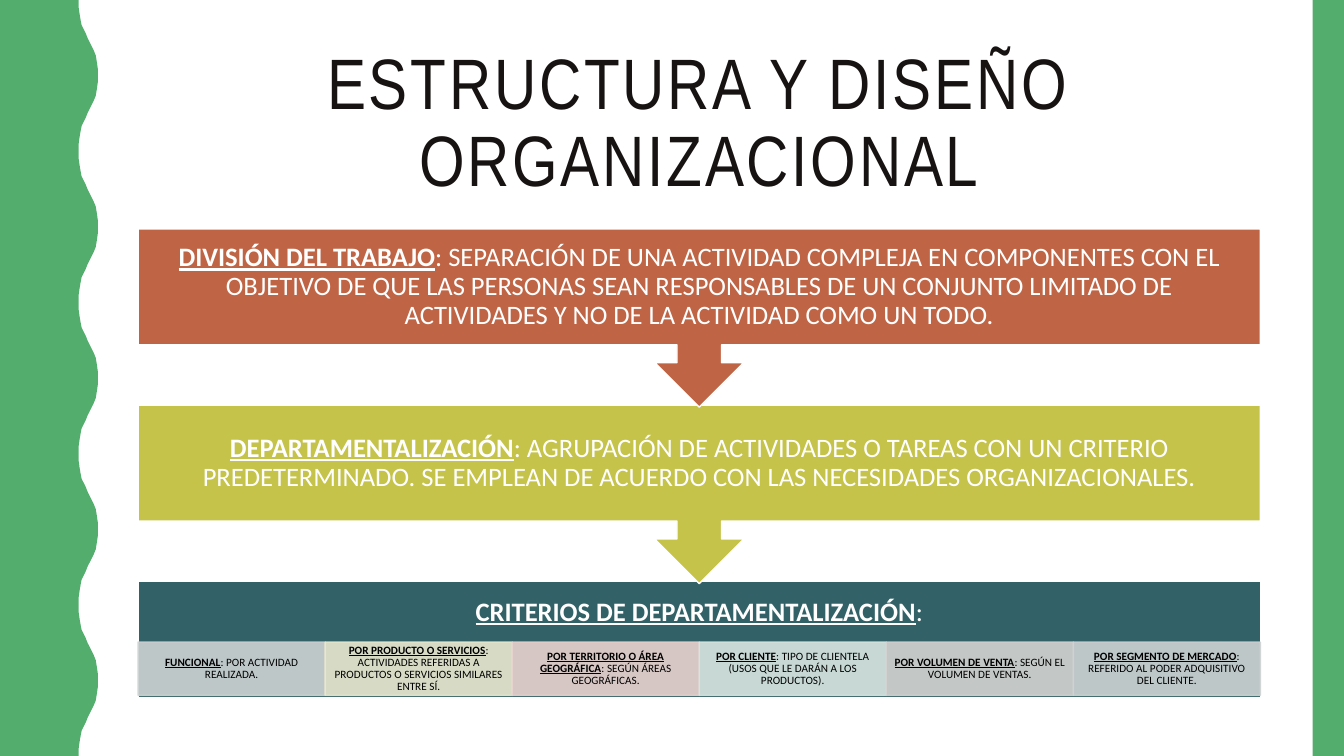
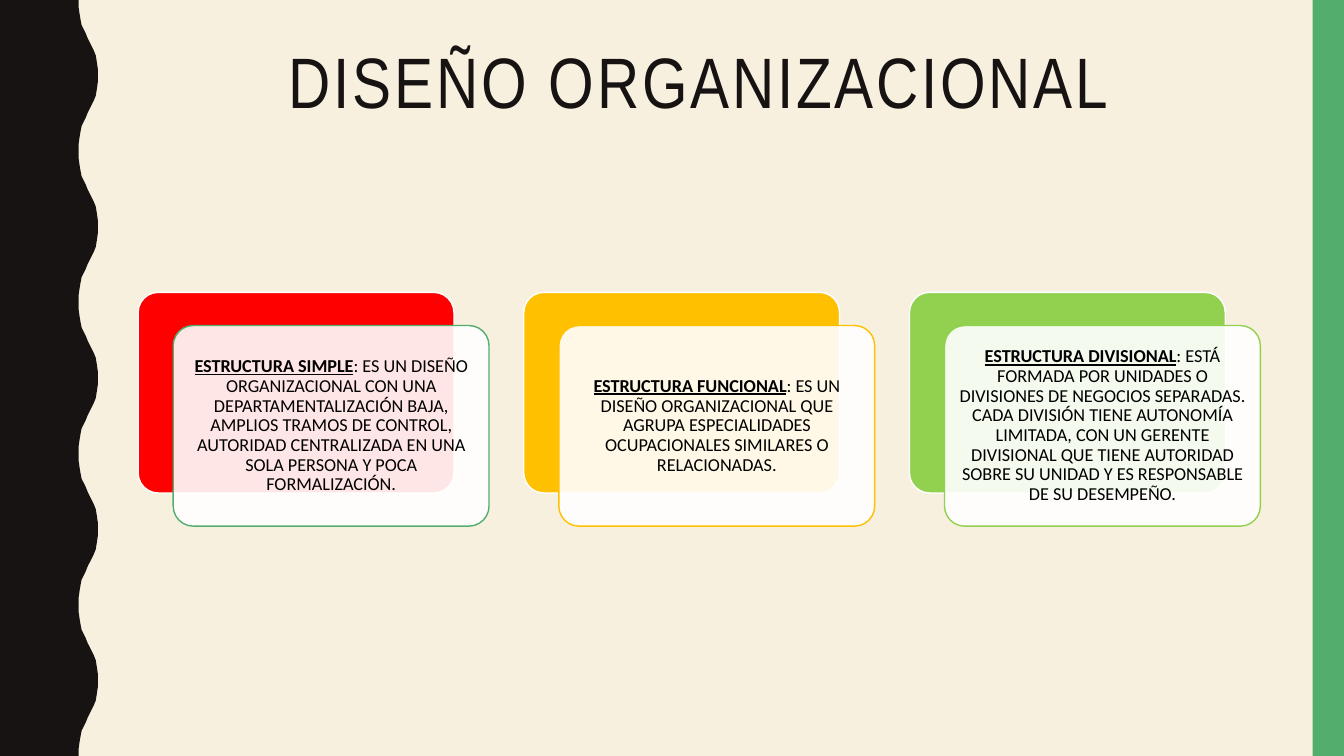
from dataclasses import dataclass

from lxml.etree import SubElement
from pptx import Presentation
from pptx.dml.color import RGBColor
from pptx.enum.shapes import MSO_SHAPE as Preset
from pptx.enum.text import MSO_ANCHOR as Anchor, PP_ALIGN as Align
from pptx.oxml.ns import qn
from pptx.util import Inches, Pt

COLORS = {
    "white": "FFFFFF",
    "black": "000000",
    "ink": "171312",
    "green": "53AE6E",
    "cream": "F7F0DF",
    "rust": "BF6546",
    "olive": "C5C34A",
    "teal": "326267",
    "mist": "CED3D3",
    "sand": "EAE9D0",
    "rose": "E8D3CF",
    "aqua": "D8E5E1",
    "stone": "D3D3D1",
    "red": "FF0000",
    "amber": "FFC000",
    "lime": "92D050",
}
TITLE_FONT = "Arial Narrow"
BODY_FONT = "Calibri"

STEPS = [
    ("rust", "DIVISIÓN DEL TRABAJO",
     ": SEPARACIÓN DE UNA ACTIVIDAD COMPLEJA EN COMPONENTES CON EL OBJETIVO DE QUE LAS "
     "PERSONAS SEAN RESPONSABLES DE UN CONJUNTO LIMITADO DE ACTIVIDADES Y NO DE LA "
     "ACTIVIDAD COMO UN TODO."),
    ("olive", "DEPARTAMENTALIZACIÓN",
     ": AGRUPACIÓN DE ACTIVIDADES O TAREAS CON UN CRITERIO PREDETERMINADO. SE EMPLEAN DE "
     "ACUERDO CON LAS NECESIDADES ORGANIZACIONALES."),
]
CRITERIA = [
    ("mist", "FUNCIONAL", ": POR ACTIVIDAD REALIZADA."),
    ("sand", "POR PRODUCTO O SERVICIOS",
     ": ACTIVIDADES REFERIDAS A PRODUCTOS O SERVICIOS SIMILARES ENTRE SÍ."),
    ("rose", "POR TERRITORIO O ÁREA GEOGRÁFICA", ": SEGÚN ÁREAS GEOGRÁFICAS."),
    ("aqua", "POR CLIENTE", ": TIPO DE CLIENTELA (USOS QUE LE DARÁN A LOS PRODUCTOS)."),
    ("stone", "POR VOLUMEN DE VENTA", ": SEGÚN EL VOLUMEN DE VENTAS."),
    ("mist", "POR SEGMENTO DE MERCADO", ": REFERIDO AL PODER ADQUISITIVO DEL CLIENTE."),
]
STRUCTURES = [
    ("red", "green", "ESTRUCTURA SIMPLE",
     ": ES UN DISEÑO ORGANIZACIONAL CON UNA DEPARTAMENTALIZACIÓN BAJA, AMPLIOS TRAMOS DE "
     "CONTROL, AUTORIDAD CENTRALIZADA EN UNA SOLA PERSONA Y POCA FORMALIZACIÓN."),
    ("amber", "amber", "ESTRUCTURA FUNCIONAL",
     ": ES UN DISEÑO ORGANIZACIONAL QUE AGRUPA ESPECIALIDADES OCUPACIONALES SIMILARES O "
     "RELACIONADAS."),
    ("lime", "lime", "ESTRUCTURA DIVISIONAL",
     ": ESTÁ FORMADA POR UNIDADES O DIVISIONES DE NEGOCIOS SEPARADAS. CADA DIVISIÓN TIENE "
     "AUTONOMÍA LIMITADA, CON UN GERENTE DIVISIONAL QUE TIENE AUTORIDAD SOBRE SU UNIDAD Y "
     "ES RESPONSABLE DE SU DESEMPEÑO."),
]
HALF_WAVE = [
    (0.78, 0), (0.78, 0.07), (0.79, 0.14), (0.8, 0.2), (0.81, 0.25),
    (0.83, 0.29), (0.85, 0.33), (0.87, 0.38), (0.89, 0.42), (0.91, 0.46),
    (0.93, 0.5), (0.95, 0.55), (0.96, 0.61), (0.97, 0.68), (0.97, 0.75),
]
WAVE_LENGTH = 1.5


@dataclass
class Box:
    left: float
    top: float
    width: float
    height: float

    def share(self, left, top, width, height):
        return Box(self.left + self.width * left / 100, self.top + self.height * top / 100,
                   self.width * width / 100, self.height * height / 100)

    def emu(self):
        return [Inches(value) for value in (self.left, self.top, self.width, self.height)]


PAGE = Box(0, 0, 13.33, 7.5)
TITLE_BOX = PAGE.share(10.28, 5.6, 83.5, 21.73)
STEPS_BOX = PAGE.share(10.28, 30.27, 83.5, 62)
CARDS_BOX = PAGE.share(10.28, 38.67, 83.5, 30.93)


def rgb(name):
    return RGBColor.from_string(COLORS[name])


def paint(fill, color):
    fill.solid()
    fill.fore_color.rgb = rgb(color)


def set_opacity(shape, percent, tags):
    properties = shape._element.spPr
    for tag in tags:
        for element in properties.findall(f"{tag}/{qn('a:srgbClr')}"):
            SubElement(element, qn("a:alpha")).set("val", str(percent * 1000))


def add_panel(slide, box, fill, line=None, preset=Preset.RECTANGLE):
    shape = slide.shapes.add_shape(preset, *box.emu())
    shape.shadow.inherit = False
    paint(shape.fill, fill)
    if line:
        paint(shape.line.fill, line)
        shape.line.width = Pt(1)
    else:
        shape.line.fill.background()
    return shape


def write_text(shape, text, lead="", size=19, font=BODY_FONT, color="white",
               anchor=Anchor.MIDDLE, margins=(0.1, 0.05), spacing=0):
    frame = shape.text_frame
    frame.word_wrap = True
    frame.vertical_anchor = anchor
    frame.margin_left = frame.margin_right = Inches(margins[0])
    frame.margin_top = frame.margin_bottom = Inches(margins[1])
    paragraph = frame.paragraphs[0]
    paragraph.alignment = Align.CENTER
    paragraph.line_spacing = 0.9
    for content, strong in ((lead, True), (text, False)):
        if not content:
            continue
        run = paragraph.add_run()
        run.text = content
        run.font.name = font
        run.font.size = Pt(size)
        run.font.color.rgb = rgb(color)
        run.font.bold = run.font.underline = strong
        if spacing:
            run._r.get_or_add_rPr().set("spc", str(spacing * 100))


def add_wave(slide, box, color):
    mirrored = [(x, WAVE_LENGTH - y) for x, y in HALF_WAVE[-2::-1]]
    period = HALF_WAVE + mirrored[:-1]
    edge = [(x, y + WAVE_LENGTH * index)
            for index in range(round(box.height / WAVE_LENGTH)) for x, y in period]
    outline = edge + [(HALF_WAVE[0][0], box.height), (0, box.height)]
    builder = slide.shapes.build_freeform(Inches(box.left), Inches(box.top))
    builder.add_line_segments(
        [(Inches(box.left + x), Inches(box.top + y)) for x, y in outline], close=True)
    wave = builder.convert_to_shape()
    wave.shadow.inherit = False
    paint(wave.fill, color)
    wave.line.fill.background()


def add_base_slide(presentation, title, background, wave, anchor):
    slide = presentation.slides.add_slide(presentation.slide_layouts[6])
    paint(slide.background.fill, background)
    add_wave(slide, PAGE, wave)
    add_panel(slide, PAGE.share(97.67, 0, 2.33, 100), "green")
    heading = slide.shapes.add_textbox(*TITLE_BOX.emu())
    write_text(heading, title, size=51, font=TITLE_FONT, color="ink", anchor=anchor, spacing=2)
    return slide


def add_criteria(slide, box):
    add_panel(slide, box, "teal", "white")
    heading = slide.shapes.add_textbox(*box.share(0, 0, 100, 53.9).emu())
    write_text(heading, ":", lead="CRITERIOS DE DEPARTAMENTALIZACIÓN", margins=(0.15, 0.15))
    width = 100 / len(CRITERIA)
    for index, (color, lead, text) in enumerate(CRITERIA):
        cell = add_panel(slide, box.share(index * width, 52.17, width, 46.09), color, color)
        set_opacity(cell, 90, [qn("a:solidFill"), f"{qn('a:ln')}/{qn('a:solidFill')}"])
        write_text(cell, text, lead=lead, size=8, color="black", margins=(0.06, 0.01))


def add_steps(slide, box):
    pitch = 37.63
    add_criteria(slide, box.share(0, len(STEPS) * pitch, 100, 24.73))
    for index, (color, lead, text) in reversed(list(enumerate(STEPS))):
        callout = add_panel(slide, box.share(0, index * pitch, 100, 38.06), color, "white",
                            preset=Preset.DOWN_ARROW_CALLOUT)
        write_text(callout, text, lead=lead, margins=(0.15, 0.15))


def add_card(slide, box, color, border, lead, text):
    back = add_panel(slide, box.share(0, 0, 90, 85.8), color, "white",
                     preset=Preset.ROUNDED_RECTANGLE)
    front = add_panel(slide, box.share(10, 14.2, 90, 85.8), "white", border,
                      preset=Preset.ROUNDED_RECTANGLE)
    for shape in (back, front):
        shape.adjustments[0] = 0.1
    set_opacity(front, 90, [qn("a:solidFill")])
    write_text(front, text, lead=lead, size=13, color="black", margins=(0.05, 0.05))


def add_cards(slide, box):
    width = 31.27
    pitch = (100 - width) / (len(STRUCTURES) - 1)
    for index, structure in enumerate(STRUCTURES):
        add_card(slide, box.share(index * pitch, 0, width, 100), *structure)


def main():
    presentation = Presentation()
    presentation.slide_width = Inches(PAGE.width)
    presentation.slide_height = Inches(PAGE.height)
    add_steps(add_base_slide(presentation, "ESTRUCTURA Y DISEÑO ORGANIZACIONAL",
                             "white", "green", Anchor.MIDDLE), STEPS_BOX)
    add_cards(add_base_slide(presentation, "DISEÑO ORGANIZACIONAL",
                             "cream", "ink", Anchor.TOP), CARDS_BOX)
    presentation.save("out.pptx")


if __name__ == "__main__":
    main()
